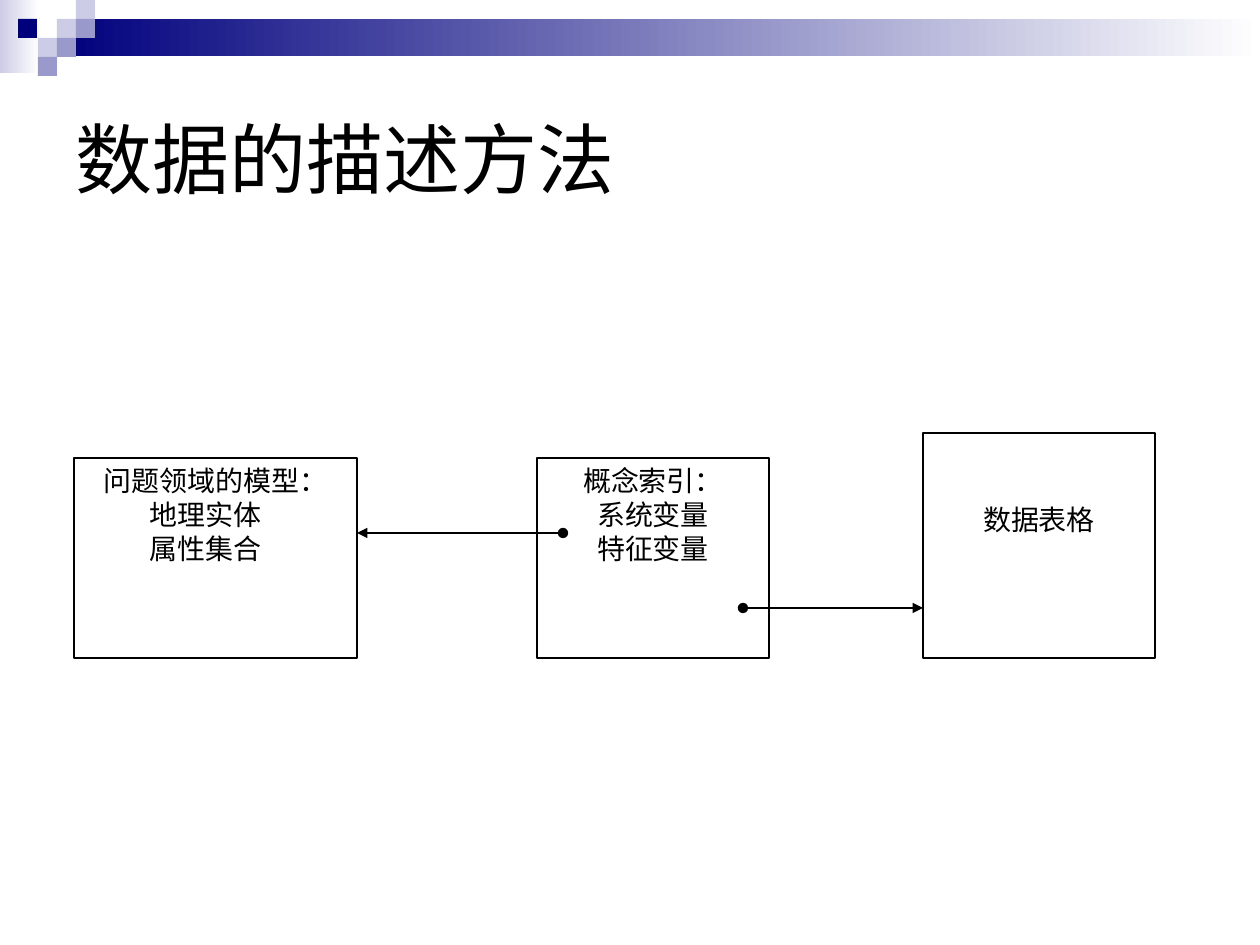
from dataclasses import dataclass

from lxml.etree import SubElement
from pptx import Presentation
from pptx.dml.color import RGBColor
from pptx.enum.shapes import MSO_CONNECTOR, MSO_SHAPE
from pptx.enum.text import MSO_ANCHOR, PP_ALIGN
from pptx.oxml.ns import qn
from pptx.util import Pt

SCALE = 914400 / 126


@dataclass(frozen=True)
class Theme:
    ink: RGBColor = RGBColor(0, 0, 0)
    paper: RGBColor = RGBColor(255, 255, 255)
    navy: RGBColor = RGBColor(0, 0, 0x7D)
    mid: RGBColor = RGBColor(0x99, 0x99, 0xCC)
    pale: RGBColor = RGBColor(0xCC, 0xCC, 0xE6)
    head: Pt = Pt(44)
    body: Pt = Pt(16)
    rule: Pt = Pt(0.75)
    sans: str = "Arial"
    serif: str = "Times New Roman"


THEME = Theme()


def px(*sizes):
    """Turn px lengths into EMU."""
    return [round(size * SCALE) for size in sizes]


def set_font(para, name, size):
    para.font.name = name
    para.font.size = size
    para.font.color.rgb = THEME.ink


def add_rect(slide, *place):
    rect = slide.shapes.add_shape(MSO_SHAPE.RECTANGLE, *px(*place))
    rect.shadow.inherit = False
    rect.line.fill.background()
    return rect


def add_tile(slide, place, color):
    tile = add_rect(slide, *place)
    tile.fill.solid()
    tile.fill.fore_color.rgb = color


def add_fade(slide, place, color):
    """Add a band that fades from a colour to the paper, left to right."""
    fill = add_rect(slide, *place).fill
    fill.gradient()
    fill.gradient_angle = 0
    for stop, shade in zip(fill.gradient_stops, (color, THEME.paper)):
        stop.color.rgb = shade


def add_banner(slide):
    add_fade(slide, (0, 0, 39, 73), THEME.pale)
    add_fade(slide, (57, 19, 1203, 37), THEME.navy)
    side = 19
    tiles = [
        (57, 1, THEME.pale), (76, 0, THEME.pale), (76, 1, THEME.mid),
        (38, 2, THEME.pale), (18, 1, THEME.navy), (57, 2, THEME.mid),
        (38, 3, THEME.mid),
    ]
    for left, row, color in tiles:
        add_tile(slide, (left, row * side, side, side), color)


def set_title(slide, text):
    title = slide.shapes.title
    title.left, title.top, title.width, title.height = px(63, 63, 1134, 189)
    frame = title.text_frame
    frame.text = text
    frame.vertical_anchor = MSO_ANCHOR.MIDDLE
    para = frame.paragraphs[0]
    para.alignment = PP_ALIGN.LEFT
    set_font(para, THEME.sans, THEME.head)


def add_box(slide, place, lines, inset=6, indent=0):
    """Add a framed box; an indent sets the lines below the first to the left."""
    box = add_rect(slide, *place)
    box.fill.solid()
    box.fill.fore_color.rgb = THEME.paper
    box.line.color.rgb = THEME.ink
    box.line.width = THEME.rule
    frame = box.text_frame
    frame.vertical_anchor = MSO_ANCHOR.TOP
    frame.margin_top = px(inset)[0]
    frame.text = "\n".join(lines)
    for row, para in enumerate(frame.paragraphs):
        para.alignment = PP_ALIGN.CENTER
        if row and indent:
            para.alignment = PP_ALIGN.JUSTIFY
            para.level = 1
            props = para._p.get_or_add_pPr()
            props.set("marL", str(px(indent)[0]))
            props.set("indent", "0")
        set_font(para, THEME.serif, THEME.body)


def add_arrow(slide, start, end, y):
    """Add a level arrow with a dot at its start."""
    arrow = slide.shapes.add_connector(
        MSO_CONNECTOR.STRAIGHT, *px(start, y, end, y))
    arrow.line.color.rgb = THEME.ink
    arrow.line.width = THEME.rule
    line = arrow.line._get_or_add_ln()
    SubElement(line, qn("a:headEnd"), type="oval")
    SubElement(line, qn("a:tailEnd"), type="triangle")
    SubElement(arrow._element.spPr, qn("a:effectLst"))


def main():
    deck = Presentation()
    deck.slide_width, deck.slide_height = px(1260, 945)
    slide = deck.slides.add_slide(deck.slide_layouts[5])
    add_banner(slide)
    set_title(slide, "数据的描述方法")
    add_box(slide, (74, 458, 283, 200),
            ["问题领域的模型：", "地理实体", "属性集合"], indent=63)
    add_box(slide, (537, 458, 232, 200),
            ["概念索引：", "系统变量", "特征变量"])
    add_box(slide, (923, 433, 232, 225), ["数据表格"], inset=70)
    add_arrow(slide, 563, 357, 533)
    add_arrow(slide, 743, 923, 608)
    deck.save("out.pptx")


if __name__ == "__main__":
    main()
